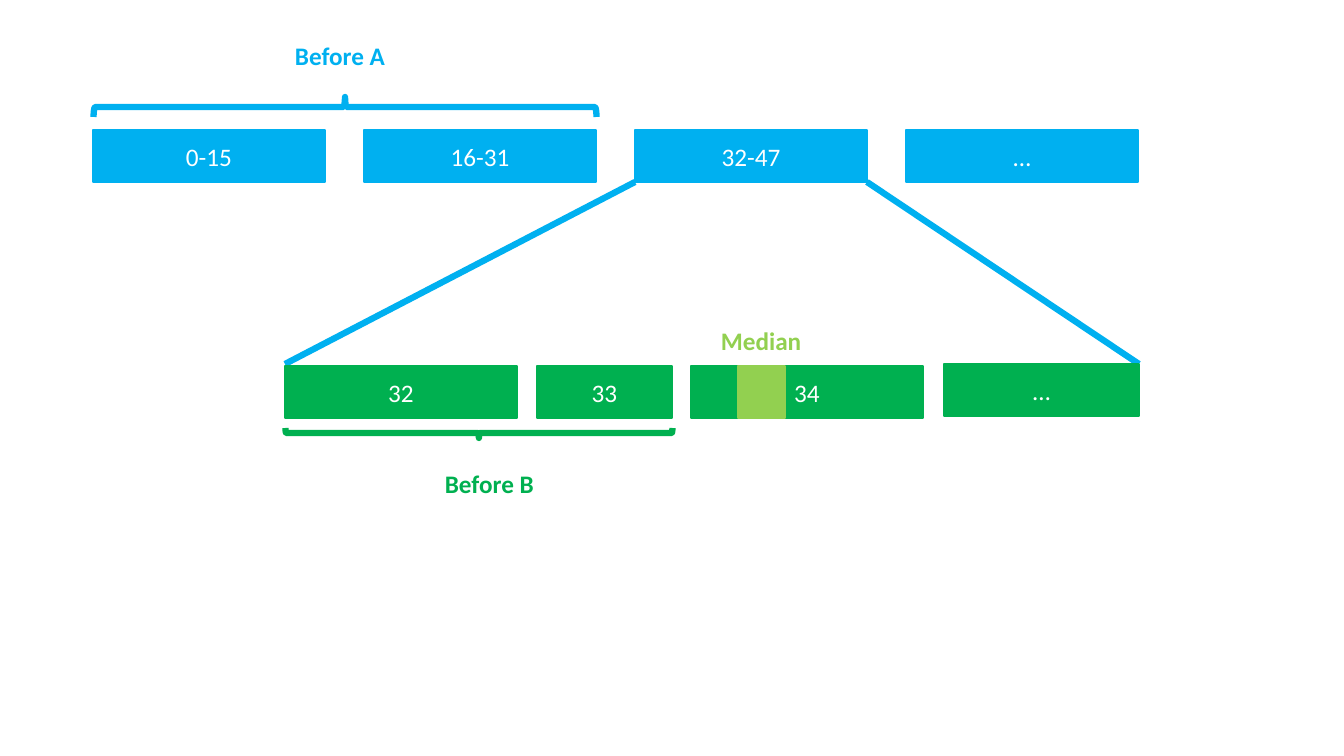
from dataclasses import dataclass

from pptx import Presentation
from pptx.dml.color import RGBColor
from pptx.enum.shapes import MSO_CONNECTOR, MSO_SHAPE
from pptx.enum.text import MSO_ANCHOR, MSO_AUTO_SIZE, PP_ALIGN
from pptx.oxml.ns import qn
from pptx.util import Emu, Pt

RECTANGLE = MSO_SHAPE.RECTANGLE
BRACE = MSO_SHAPE.LEFT_BRACE
STRAIGHT = MSO_CONNECTOR.STRAIGHT
LEFT, CENTER = PP_ALIGN.LEFT, PP_ALIGN.CENTER
MIDDLE = MSO_ANCHOR.MIDDLE
FIT_SHAPE = MSO_AUTO_SIZE.SHAPE_TO_FIT_TEXT
EMU_PER_PIXEL = 914400 / 100.8
BLANK_LAYOUT = 6


@dataclass(frozen=True)
class Theme:
    """Colours, font and sizes used on the slide."""
    blue: str = "00B0F0"
    green: str = "00B050"
    lime: str = "92D050"
    white: str = "FFFFFF"
    font: str = "Calibri"
    text_size: float = 18
    thin: float = 1
    thick: float = 4.5


def px(pixels):
    """Turn pixels into EMU."""
    return Emu(round(pixels * EMU_PER_PIXEL))


def write_text(frame, text, *, theme, color, bold=False, align=LEFT):
    """Write one formatted paragraph into a text frame."""
    paragraph = frame.paragraphs[0]
    paragraph.alignment = align
    run = paragraph.add_run()
    run.text = text
    run.font.name = theme.font
    run.font.size = Pt(theme.text_size)
    run.font.bold = bold
    run.font.color.rgb = RGBColor.from_string(color)


class SlideBuilder:
    """Hold the theme and the current slide, and add elements to it."""

    def __init__(self, slide, theme):
        """Keep the slide and its theme."""
        self.shapes = slide.shapes
        self.theme = theme

    def stroke(self, item, color, width):
        """Set the line colour and width of a shape or connector."""
        item.line.color.rgb = RGBColor.from_string(color)
        item.line.width = Pt(width)

    def block(self, left, top, width, height, color, text=None):
        """Add a filled rectangle with optional centred text."""
        shape = self.shapes.add_shape(
            RECTANGLE, px(left), px(top), px(width), px(height))
        shape.shadow.inherit = False
        shape.fill.solid()
        shape.fill.fore_color.rgb = RGBColor.from_string(color)
        self.stroke(shape, color, self.theme.thin)
        if text:
            shape.text_frame.vertical_anchor = MIDDLE
            write_text(shape.text_frame, text, theme=self.theme,
                       color=self.theme.white, align=CENTER)

    def label(self, left, top, width, height, text, color):
        """Add a bold text box that fits its text."""
        frame = self.shapes.add_textbox(
            px(left), px(top), px(width), px(height)).text_frame
        frame.word_wrap = False
        frame.auto_size = FIT_SHAPE
        write_text(frame, text, theme=self.theme, color=color, bold=True)

    def line(self, start, end, color):
        """Add a thick straight connector between two points."""
        connector = self.shapes.add_connector(
            STRAIGHT, px(start[0]), px(start[1]), px(end[0]), px(end[1]))
        self.stroke(connector, color, self.theme.thick)
        properties = connector._element.spPr
        properties.append(properties.makeelement(qn("a:effectLst"), {}))

    def brace(self, center_x, center_y, span, depth, rotation, color):
        """Add a horizontal brace, turned about its centre."""
        shape = self.shapes.add_shape(
            BRACE, px(center_x - depth / 2), px(center_y - span / 2),
            px(depth), px(span))
        shape.rotation = rotation
        shape.shadow.inherit = False
        shape.fill.background()
        self.stroke(shape, color, self.theme.thick)


def build():
    """Build the two bucket rows and save the presentation."""
    presentation = Presentation()
    presentation.slide_width, presentation.slide_height = px(1344), px(756)
    slide = presentation.slides.add_slide(
        presentation.slide_layouts[BLANK_LAYOUT])
    theme = Theme()
    builder = SlideBuilder(slide, theme)

    block_width, block_height = 232, 52
    range_left, range_top, range_step = 93, 130, 271
    for index, text in enumerate(("0-15", "16-31", "32-47", "…")):
        builder.block(range_left + index * range_step, range_top,
                      block_width, block_height, theme.blue, text)

    value_top, rest_top = 366, 364
    value_left, value_right = 285, 1139
    opened_left = range_left + 2 * range_step
    range_bottom = range_top + block_height
    builder.line((opened_left, range_bottom), (value_left, rest_top),
                 theme.blue)
    builder.line((opened_left + block_width, range_bottom),
                 (value_right, rest_top), theme.blue)

    for left, top, width, text in (
            (value_left, value_top, block_width, "32"),
            (537, value_top, 135, "33"),
            (691, value_top, block_width, "34"),
            (944, rest_top, value_right - 944, "…")):
        builder.block(left, top, width, block_height, theme.green, text)
    builder.block(738, value_top, 47, block_height, theme.lime)

    builder.brace(479, 433, 387, 10, 270, theme.green)
    builder.brace(345, 107, 503, 20, 90, theme.blue)
    builder.label(711, 320, 101, 40, "Median", theme.lime)
    builder.label(435, 463, 110, 40, "Before B", theme.green)
    builder.label(285, 35, 111, 40, "Before A", theme.blue)
    presentation.save("out.pptx")


build()
